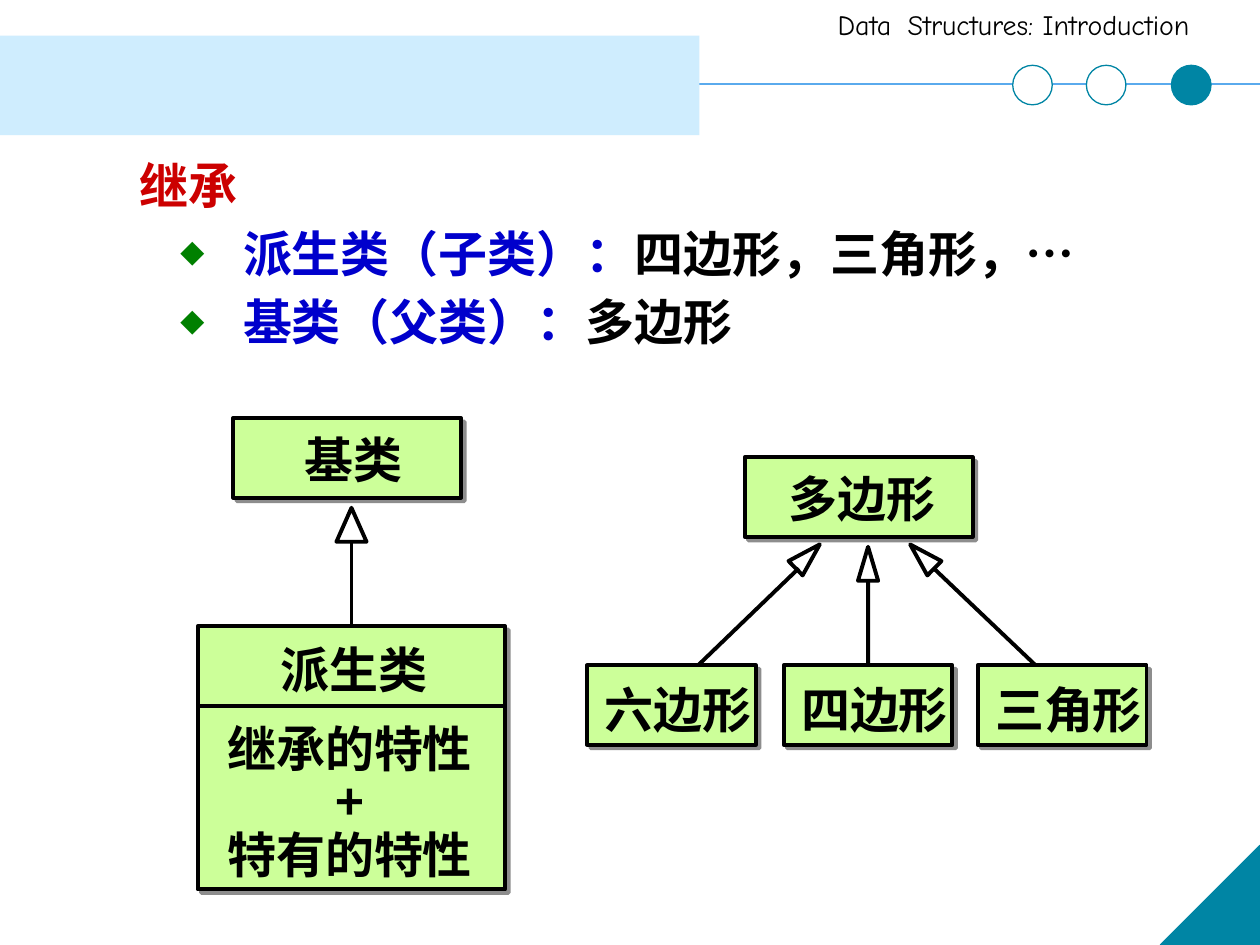
from lxml.etree import SubElement
from pptx import Presentation
from pptx.dml.color import RGBColor
from pptx.enum.shapes import MSO_CONNECTOR as Link, MSO_SHAPE as Shape
from pptx.enum.text import MSO_ANCHOR as Anchor, MSO_AUTO_SIZE as AutoSize, PP_ALIGN as Align
from pptx.oxml.ns import qn
from pptx.util import Pt

COLORS = {
    "teal": "0085A4", "sky": "CFEDFE", "rule": "5AAAED", "white": "FFFFFF",
    "black": "000000", "red": "CC0000", "blue": "0000CC", "green": "008000",
    "lime": "CCFF99", "shadow": "1C1C1C",
}
CJK = "Noto Sans CJK SC"
CLASS_HEIGHT = 45.4
PARENT_WIDTH = 130.3
CHILD_WIDTH = 96.5
CHILD_TOP = 380.2
LABEL_LINE = 36.5


def color(name):
    return RGBColor.from_string(COLORS[name])


def add_shape(page, kind, left, top, width, height, fill=None, line=None, weight=0.75):
    shape = page.shapes.add_shape(kind, Pt(left), Pt(top), Pt(width), Pt(height))
    shape.shadow.inherit = False
    if fill:
        shape.fill.solid()
        shape.fill.fore_color.rgb = color(fill)
    else:
        shape.fill.background()
    if line:
        shape.line.color.rgb = color(line)
        shape.line.width = Pt(weight)
    else:
        shape.line.fill.background()
    return shape


def add_line(page, x1, y1, x2, y2, name="black", weight=2.25):
    line = page.shapes.add_connector(Link.STRAIGHT, Pt(x1), Pt(y1), Pt(x2), Pt(y2))
    line.line.color.rgb = color(name)
    line.line.width = Pt(weight)
    SubElement(line._element.spPr, qn("a:effectLst"))
    return line


def add_class_box(page, left, top, width, height=CLASS_HEIGHT):
    box = add_shape(page, Shape.RECTANGLE, left, top, width, height, "lime", "black", 2.25)
    effects = box._element.spPr.find(qn("a:effectLst"))
    shadow = SubElement(effects, qn("a:outerShdw"), blurRad="0", dist=str(Pt(2.8)),
                        dir="2700000", algn="ctr", rotWithShape="0")
    tint = SubElement(shadow, qn("a:srgbClr"), val=COLORS["shadow"])
    SubElement(tint, qn("a:alpha"), val="50000")
    return box


def add_arrowhead(page, left, top, width, rotation=0):
    head = add_shape(page, Shape.ISOSCELES_TRIANGLE, left, top, width, 19.4, None, "black", 2.25)
    head.rotation = rotation


def add_span(para, text, name="black", size=28, font=CJK, bold=True):
    span = para.add_run()
    span.text = text
    span.font.size = Pt(size)
    span.font.bold = bold
    span.font.color.rgb = color(name)
    span.font.name = font
    SubElement(span.font._element, qn("a:ea"), typeface=font)


def add_box(page, left, top, width, height, wrap=False):
    box = page.shapes.add_textbox(Pt(left), Pt(top), Pt(width), Pt(height))
    box.text_frame.word_wrap = wrap
    return box.text_frame


def add_label(page, text, left, top, width=100):
    para = add_box(page, left, top, width, 41).paragraphs[0]
    para.line_spacing = Pt(LABEL_LINE)
    add_span(para, text)


def next_para(frame, index):
    return frame.add_paragraph() if index else frame.paragraphs[0]


def add_bullet(para):
    props = para._p.get_or_add_pPr()
    props.set("marL", str(Pt(108)))
    props.set("indent", str(-Pt(36)))
    tint = SubElement(props, qn("a:buClr"))
    SubElement(tint, qn("a:srgbClr"), val=COLORS["green"])
    SubElement(props, qn("a:buSzPct"), val="50000")
    SubElement(props, qn("a:buFont"), typeface=CJK)
    SubElement(props, qn("a:buChar"), char="◆")


def add_header(page):
    add_line(page, 0, 48.2, 720, 48.2, "rule", 1)
    corner = add_shape(page, Shape.RIGHT_TRIANGLE, 663.1, 483.1, 56.9, 56.9, "teal", "teal")
    corner._element.spPr.find(qn("a:xfrm")).set("flipH", "1")
    para = add_box(page, 471.6, 0.7, 248.4, 26.6, True).paragraphs[0]
    tabs = SubElement(para._p.get_or_add_pPr(), qn("a:tabLst"))
    SubElement(tabs, qn("a:tab"), pos=str(Pt(40)), algn="l")
    add_span(para, "Data\tStructures: Introduction", size=16, font="Comic Neue", bold=False)
    add_shape(page, Shape.RECTANGLE, 0, 20.4, 399.6, 56.9, "sky")
    for left, fill in ((669.4, "teal"), (620.8, "white"), (578.7, "white")):
        add_shape(page, Shape.OVAL, left, 37.3, 22.6, 22.6, fill, "teal")


def add_title(page, text):
    title = page.shapes.title
    title.left, title.top, title.width, title.height = Pt(72.5), Pt(82.4), Pt(610), Pt(42)
    frame = title.text_frame
    frame.auto_size = AutoSize.NONE
    frame.vertical_anchor = Anchor.TOP
    para = frame.paragraphs[0]
    para.alignment = Align.LEFT
    para.line_spacing = Pt(LABEL_LINE)
    add_span(para, text, "red")


def add_definitions(page, rows):
    frame = add_box(page, 23.8, 124.7, 658.8, 105, True)
    for index, (term, examples) in enumerate(rows):
        para = next_para(frame, index)
        add_bullet(para)
        para.line_spacing = Pt(33.3)
        if index:
            para.space_before = Pt(5.6)
        add_span(para, term, "blue")
        add_span(para, examples)


def add_general_diagram(page):
    left, top, width = 113, 357.8, 175.7
    derived = add_class_box(page, left, top, width, 150.5)
    add_label(page, "派生类", 153.4, 359.3)
    add_line(page, left, 403.2, left + width, 403.2)
    frame = add_box(page, 121.7, 410.5, 156.2, 98.6)
    for index, text in enumerate(("继承的特性", "+", "特有的特性")):
        para = next_para(frame, index)
        para.alignment = Align.CENTER
        para.line_spacing = Pt(30.3)
        add_span(para, text)
    add_class_box(page, 133.2, 239, PARENT_WIDTH)
    add_label(page, "基类", 167, 239, 71.3)
    middle = left + width / 2
    add_arrowhead(page, middle - 8.6, 290.2, 17.2)
    add_line(page, middle, top, middle, 309.6).begin_connect(derived, 0)


def add_polygon_diagram(page):
    add_class_box(page, 425.5, 261.4, PARENT_WIDTH)
    add_label(page, "多边形", 443.5, 261.4)
    children = {}
    for text, left in (("六边形", 335.5), ("四边形", 447.8), ("三角形", 558.7)):
        children[text] = add_class_box(page, left, CHILD_TOP, CHILD_WIDTH)
        add_label(page, text, left + 2.9, CHILD_TOP + 1.4)
    for left, top, rotation in ((455.8, 308.2, 45.5), (490.3, 312.5, 0), (521.3, 308.2, 314.5)):
        add_arrowhead(page, left, top, 11.5, rotation)
    add_line(page, 398.9, CHILD_TOP, 456.5, 324.7)
    add_line(page, 591.8, CHILD_TOP, 533.5, 324.7)
    middle = add_line(page, 496.1, CHILD_TOP, 496.1, 331.9)
    middle.begin_connect(children["四边形"], 0)


def main():
    deck = Presentation()
    deck.slide_width, deck.slide_height = Pt(720), Pt(540)
    page = deck.slides.add_slide(deck.slide_layouts[5])
    add_header(page)
    add_title(page, "继承")
    add_definitions(page, (("派生类（子类）：", "四边形，三角形，…"), ("基类（父类）：", "多边形")))
    add_general_diagram(page)
    add_polygon_diagram(page)
    deck.save("out.pptx")


if __name__ == "__main__":
    main()
